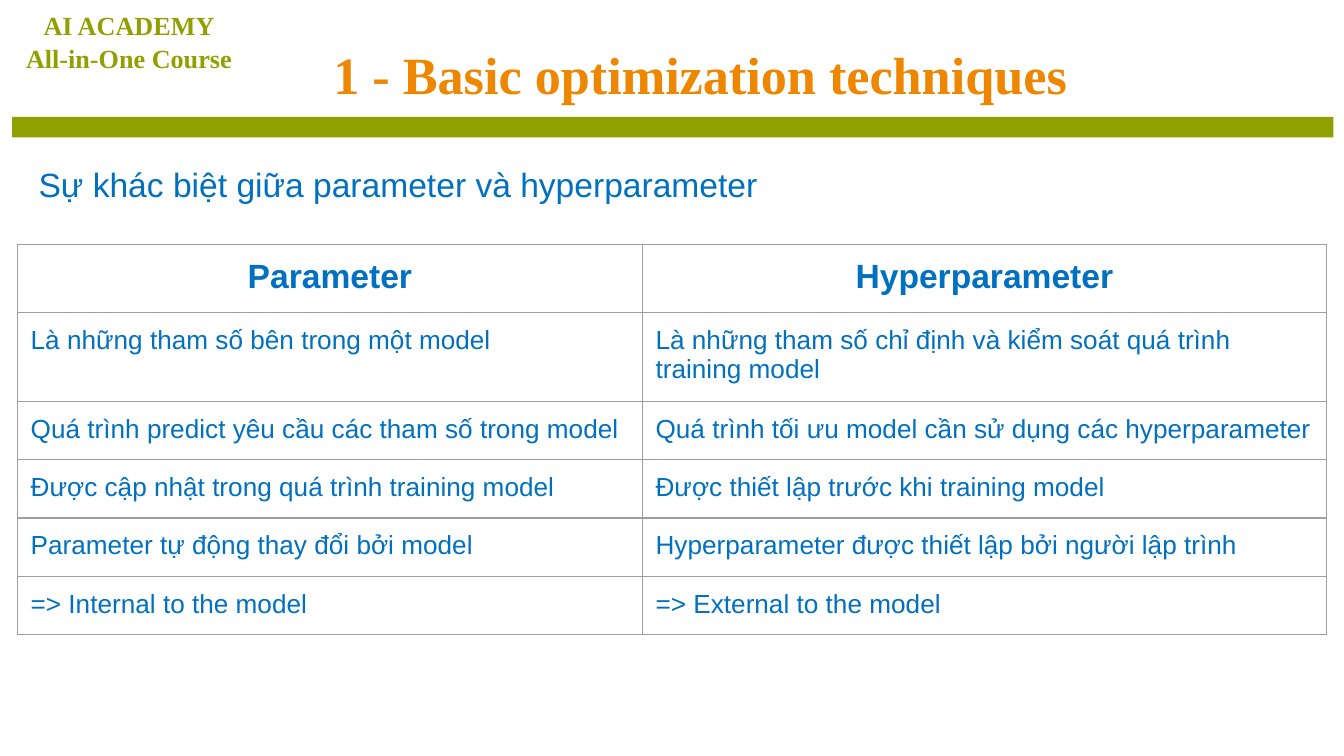
from lxml import etree
from pptx import Presentation
from pptx.dml.color import RGBColor
from pptx.enum.shapes import MSO_SHAPE
from pptx.enum.text import MSO_ANCHOR, PP_ALIGN
from pptx.oxml.ns import qn
from pptx.util import Cm, Pt

RECTANGLE = MSO_SHAPE.RECTANGLE
TOP = MSO_ANCHOR.TOP
LEFT, CENTER = PP_ALIGN.LEFT, PP_ALIGN.CENTER

# Content
COLORS = {"olive": "91A000", "orange": "EF8600", "blue": "0070C0", "grid": "9E9E9E"}
SERIF, SANS = "Times New Roman", "Arial"
HEADING = {"name": SANS, "size": Pt(18), "bold": True}
BODY = {"name": SANS, "size": Pt(14), "bold": False}

# Boxes are left, top, width, height in cm
TEXTS = [
    {"lines": ["1 - Basic optimization techniques"], "box": (6.05, 0.43, 17.07, 1.6),
     "font": {"name": SERIF, "size": Pt(28), "bold": True}, "color": "orange",
     "format": {"alignment": LEFT, "line_spacing": 1.1}, "margin": 0.25},
    {"lines": ["AI ACADEMY", "All-in-One Course"], "box": (0.23, 0, 4.42, 1.45),
     "font": {"name": SERIF, "size": Pt(14), "bold": True}, "color": "olive",
     "format": {"alignment": CENTER, "line_spacing": 1.07}, "margin": 0.13},
    {"lines": ["Sự khác biệt giữa parameter và hyperparameter"],
     "box": (0.48, 2.8, 24.26, 1.27),
     "font": {"name": SANS, "size": Pt(18), "bold": False}, "color": "blue",
     "format": {"alignment": LEFT, "line_spacing": 1.07}, "margin": 0.25},
]
BAR_BOX = (0.23, 2.21, 24.97, 0.39)

ROWS = [
    ("Parameter", "Hyperparameter"),
    ("Là những tham số bên trong một model",
     "Là những tham số chỉ định và kiểm soát quá trình training model"),
    ("Quá trình predict yêu cầu các tham số trong model",
     "Quá trình tối ưu model cần sử dụng các hyperparameter"),
    ("Được cập nhật trong quá trình training model",
     "Được thiết lập trước khi training model"),
    ("Parameter tự động thay đổi bởi model",
     "Hyperparameter được thiết lập bởi người lập trình"),
    ("=> Internal to the model", "=> External to the model"),
]
TABLE_LEFT, TABLE_TOP = 0.33, 4.62
COLUMN_WIDTHS = (11.81, 12.93)
ROW_HEIGHTS = (1.28, 1.69) + (1.1,) * 4


def lengths(box):
    return [Cm(value) for value in box]


def color(name):
    return RGBColor.from_string(COLORS[name])


def set_attributes(target, values):
    for name, value in values.items():
        setattr(target, name, value)


def set_margins(target, vertical, horizontal=0.25):
    set_attributes(target, {"margin_left": Cm(horizontal), "margin_right": Cm(horizontal),
                            "margin_top": Cm(vertical), "margin_bottom": Cm(vertical)})


def write_paragraph(paragraph, text, font, color_name, paragraph_format):
    set_attributes(paragraph, paragraph_format)
    run = paragraph.add_run()
    run.text = text
    set_attributes(run.font, font)
    run.font.color.rgb = color(color_name)


def add_text(slide, item):
    frame = slide.shapes.add_textbox(*lengths(item["box"])).text_frame
    set_attributes(frame, {"word_wrap": True, "vertical_anchor": TOP})
    set_margins(frame, item["margin"])
    for index, line in enumerate(item["lines"]):
        paragraph = frame.add_paragraph() if index else frame.paragraphs[0]
        write_paragraph(paragraph, line, item["font"], item["color"], item["format"])


def add_borders(cell):
    properties = cell._tc.get_or_add_tcPr()
    for side in ("a:lnL", "a:lnR", "a:lnT", "a:lnB"):
        line = etree.SubElement(properties, qn(side), w=str(Pt(0.75)))
        fill = etree.SubElement(line, qn("a:solidFill"))
        etree.SubElement(fill, qn("a:srgbClr"), val=COLORS["grid"])


def add_comparison_table(slide):
    box = (TABLE_LEFT, TABLE_TOP, sum(COLUMN_WIDTHS), sum(ROW_HEIGHTS))
    table = slide.shapes.add_table(len(ROWS), len(COLUMN_WIDTHS), *lengths(box)).table
    set_attributes(table, {"first_row": False, "horz_banding": False})
    for column, width in zip(table.columns, COLUMN_WIDTHS):
        column.width = Cm(width)
    for row_index, (texts, height) in enumerate(zip(ROWS, ROW_HEIGHTS)):
        table.rows[row_index].height = Cm(height)
        font, alignment = (BODY, LEFT) if row_index else (HEADING, CENTER)
        for column_index, text in enumerate(texts):
            cell = table.cell(row_index, column_index)
            set_margins(cell, 0.25)
            add_borders(cell)
            cell.fill.background()
            write_paragraph(cell.text_frame.paragraphs[0], text, font, "blue",
                            {"alignment": alignment})


def main():
    presentation = Presentation()
    set_attributes(presentation, {"slide_width": Cm(25.4), "slide_height": Cm(14.29)})
    slide = presentation.slides.add_slide(presentation.slide_layouts[6])

    # Divider bar under the title
    bar = slide.shapes.add_shape(RECTANGLE, *lengths(BAR_BOX))
    bar.shadow.inherit = False
    bar.fill.solid()
    bar.fill.fore_color.rgb = color("olive")
    bar.line.fill.background()

    # Title, course name and subtitle
    for item in TEXTS:
        add_text(slide, item)

    add_comparison_table(slide)
    presentation.save("out.pptx")


if __name__ == "__main__":
    main()
